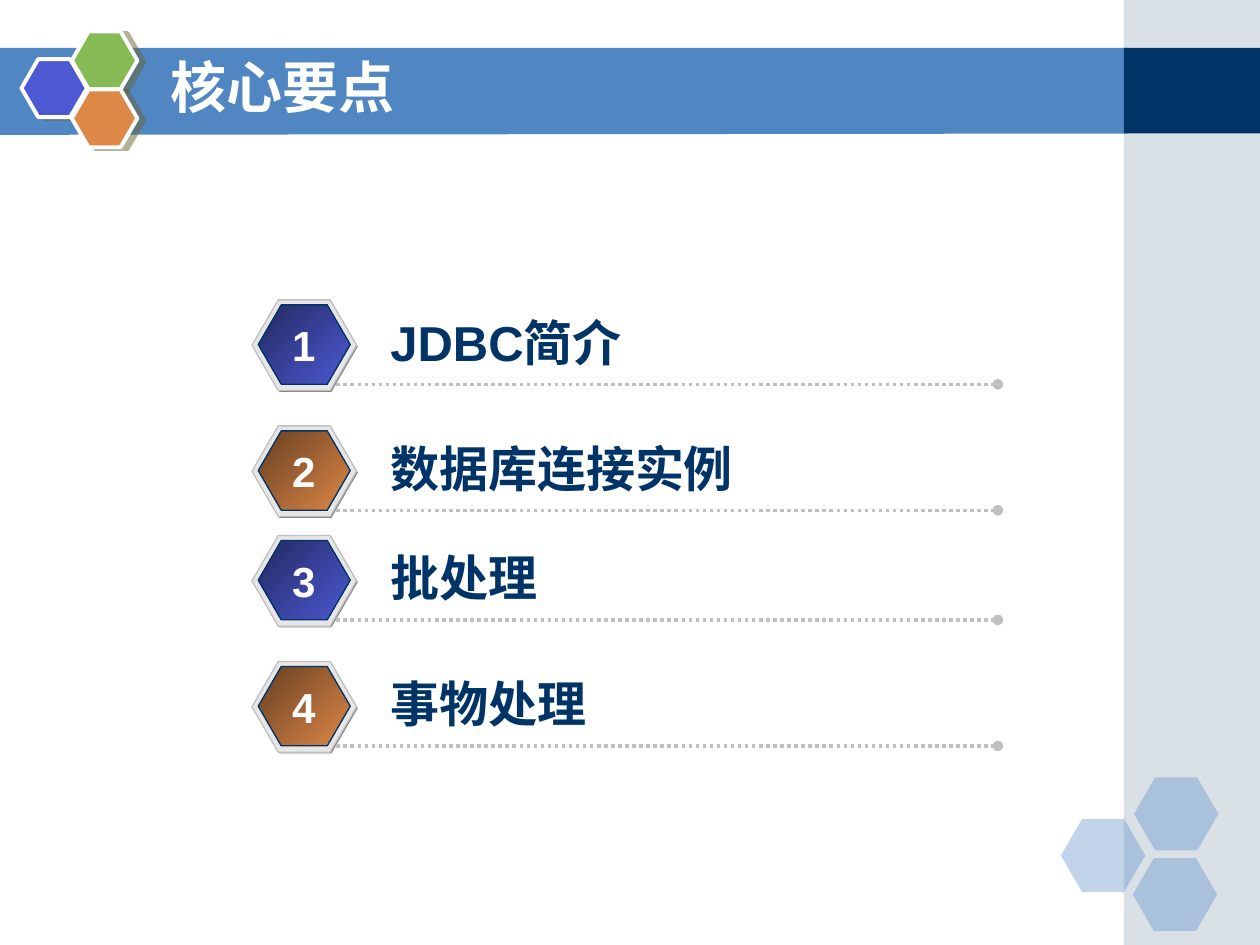
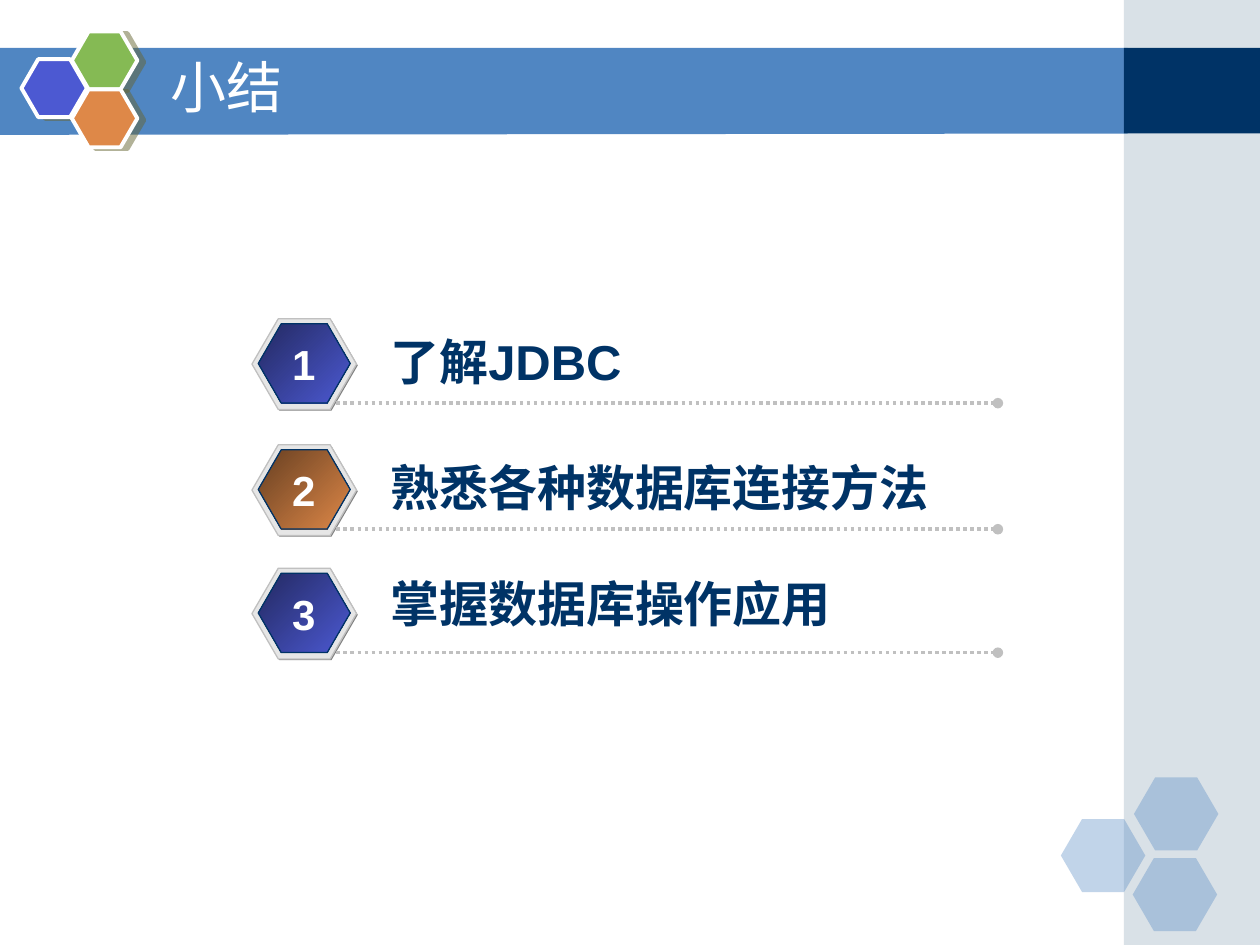
from lxml.etree import SubElement
from pptx import Presentation
from pptx.dml.color import RGBColor
from pptx.enum.dml import MSO_LINE
from pptx.enum.shapes import MSO_CONNECTOR, MSO_SHAPE
from pptx.enum.text import MSO_ANCHOR, MSO_AUTO_SIZE, PP_ALIGN
from pptx.oxml.ns import qn
from pptx.util import Inches, Pt

COLORS = {
    "white": "FFFFFF", "band": "5086C2", "navy": "003366", "side": "A0B5C4",
    "blue": "4C59D2", "green": "85BA54", "orange": "DE8848",
    "dark_blue": "232961", "dark_orange": "673F21", "shadow": "666633",
    "rim": "E6E6E6", "rim_edge": "808080", "silver": "C0C0C0",
}
BADGE_GRADIENTS = [("dark_blue", "blue"), ("dark_orange", "orange")]
LATIN_FONT = "Arial"
CJK_FONT = "Noto Sans CJK SC"

AGENDA = [("JDBC简介", 2.38, 0.05), ("数据库连接实例", 3.38, 0.05),
          ("批处理", 4.25, 0.05), ("事物处理", 5.25, 0.05)]
SUMMARY = [("了解JDBC", 2.53, 0.05), ("熟悉各种数据库连接方法", 3.53, 0.05),
           ("掌握数据库操作应用", 4.51, -0.01)]


def rgb(color):
    return RGBColor.from_string(COLORS[color])


def style_shape(shape, fill, line=None, line_width=0.75, opacity=None):
    shape.shadow.inherit = False
    if isinstance(fill, tuple):
        shape.fill.gradient()
        shape.fill.gradient_angle = 315
        for stop, color in zip(shape.fill.gradient_stops, fill):
            stop.color.rgb = rgb(color)
    else:
        shape.fill.solid()
        shape.fill.fore_color.rgb = rgb(fill)
    if opacity:
        color_node = shape.element.spPr.find(qn("a:solidFill"))[0]
        SubElement(color_node, qn("a:alpha"), val=str(opacity * 1000))
    if line:
        shape.line.color.rgb = rgb(line)
        shape.line.width = Pt(line_width)
    else:
        shape.line.fill.background()
    return shape


def add_rectangle(slide, left, top, width, height, fill, **style):
    box = map(Inches, (left, top, width, height))
    return style_shape(slide.shapes.add_shape(MSO_SHAPE.RECTANGLE, *box), fill, **style)


def add_hexagon(slide, left, top, width, height, fill, **style):
    box = map(Inches, (left, top, width, height))
    hexagon = slide.shapes.add_shape(MSO_SHAPE.HEXAGON, *box)
    hexagon.adjustments[0] = 0.29
    return style_shape(hexagon, fill, **style)


def add_shadow(shape):
    effects = shape.element.spPr.find(qn("a:effectLst"))
    shadow = SubElement(effects, qn("a:outerShdw"), dist=str(Pt(4.1)),
                        dir=str(14 * 60000), algn="ctr", rotWithShape="0")
    color = SubElement(shadow, qn("a:srgbClr"), val=COLORS["shadow"])
    SubElement(color, qn("a:alpha"), val="50000")


def format_runs(paragraph, size, color, bold, latin=LATIN_FONT):
    for run in paragraph.runs:
        run.font.size = Pt(size)
        run.font.bold = bold
        run.font.color.rgb = rgb(color)
        run.font.name = latin
        SubElement(run.font._element, qn("a:ea"), typeface=CJK_FONT)


def add_text(slide, text, left, top, width, height, size, color, wrap=True, align=PP_ALIGN.LEFT):
    frame = slide.shapes.add_textbox(*map(Inches, (left, top, width, height))).text_frame
    frame.word_wrap = wrap
    frame.text = text
    frame.paragraphs[0].alignment = align
    format_runs(frame.paragraphs[0], size, color, True)


def add_title(slide, text, bold):
    title = slide.shapes.title
    title.left, title.top, title.width, title.height = map(Inches, (1.25, 0.33, 7.33, 0.7))
    frame = title.text_frame
    frame.text = text
    frame.auto_size = MSO_AUTO_SIZE.NONE
    frame.vertical_anchor = MSO_ANCHOR.MIDDLE
    frame.paragraphs[0].alignment = PP_ALIGN.LEFT
    format_runs(frame.paragraphs[0], 32, "white", bold, CJK_FONT)


def add_title_band(slide):
    corners = [(Inches(x), Inches(y)) for x, y in
               [(-0.01, 0.38), (8.95, 0.38), (8.95, 1.06), (-0.01, 1.07)]]
    outline = slide.shapes.build_freeform(*corners[0], scale=1.0)
    outline.add_line_segments(corners[1:], close=True)
    style_shape(outline.convert_to_shape(), "band")


def add_background(slide):
    add_title_band(slide)
    add_rectangle(slide, 8.92, 0, 1.08, 7.5, "side", opacity=40)
    add_rectangle(slide, 8.92, 0.38, 1.08, 0.68, "navy")
    for left, top in [(8.42, 6.5), (9, 6.17), (8.99, 6.81)]:
        add_hexagon(slide, left, top, 0.67, 0.58, "band", opacity=35)
    for left, top, color in [(0.17, 0.47, "blue"), (0.57, 0.25, "green"), (0.57, 0.71, "orange")]:
        add_shadow(add_hexagon(slide, left, top, 0.52, 0.46, color, line="white", line_width=2.25))


def move_background_to_layout(slide):
    layout_tree = slide.slide_layout.shapes.element
    background = [shape for shape in slide.shapes if not shape.is_placeholder]
    for index, shape in enumerate(background):
        shape.element.nvSpPr.cNvPr.set("id", str(100 + index))
        layout_tree.insert(2 + index, shape.element)


def add_dotted_rule(slide, y):
    rule = slide.shapes.add_connector(MSO_CONNECTOR.STRAIGHT, Inches(2.67), Inches(y),
                                      Inches(7.92), Inches(y))
    rule.line.color.rgb = rgb("silver")
    rule.line.width = Pt(2)
    rule.line.dash_style = MSO_LINE.ROUND_DOT
    properties = rule.element.spPr
    SubElement(properties.find(qn("a:ln")), qn("a:tailEnd"), type="oval")
    SubElement(properties, qn("a:effectLst"))


def add_topic(slide, number, topic, top, topic_offset):
    gradient = BADGE_GRADIENTS[(number - 1) % 2]
    add_hexagon(slide, 2.01, top + 0.01, 0.83, 0.72, "rim_edge")
    add_hexagon(slide, 2, top, 0.83, 0.72, "rim", line="silver")
    add_hexagon(slide, 2.05, top + 0.04, 0.73, 0.63, gradient, line="navy")
    add_dotted_rule(slide, top + 0.67)
    add_text(slide, topic, 3, top + topic_offset, 4.75, 0.57, 28, "navy")
    add_text(slide, str(number), 2.22, top + 0.11, 0.38, 0.5, 24, "white",
             wrap=False, align=PP_ALIGN.CENTER)


def add_topic_slide(deck, title, topics, bold_title):
    slide = deck.slides.add_slide(deck.slide_layouts[5])
    if len(deck.slides) == 1:
        add_background(slide)
        move_background_to_layout(slide)
    add_title(slide, title, bold_title)
    for number, (topic, top, topic_offset) in enumerate(topics, 1):
        add_topic(slide, number, topic, top, topic_offset)


def main():
    deck = Presentation()
    deck.slide_width, deck.slide_height = Inches(10), Inches(7.5)
    add_topic_slide(deck, "核心要点", AGENDA, True)
    add_topic_slide(deck, "小结", SUMMARY, False)
    deck.save("out.pptx")


if __name__ == "__main__":
    main()
